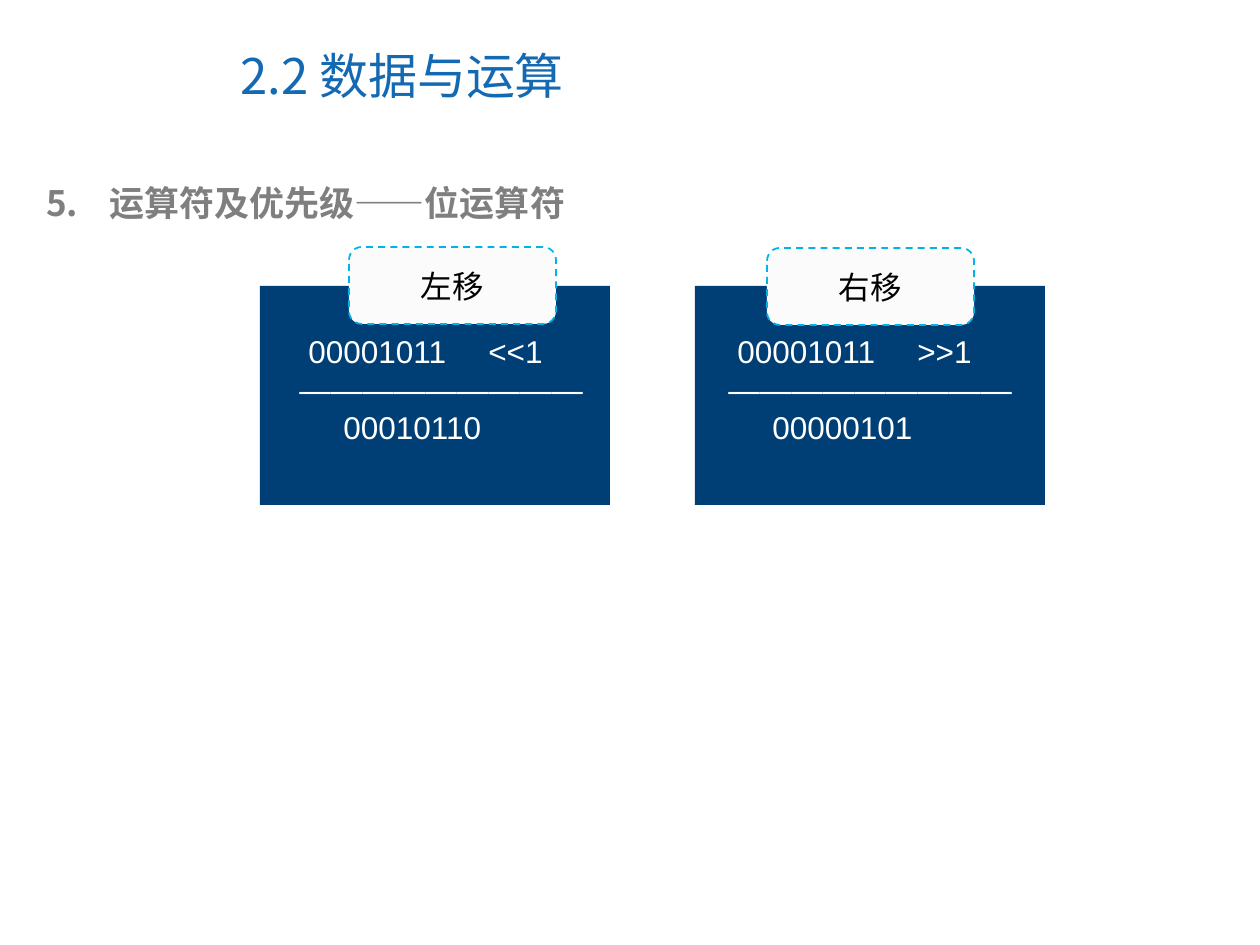
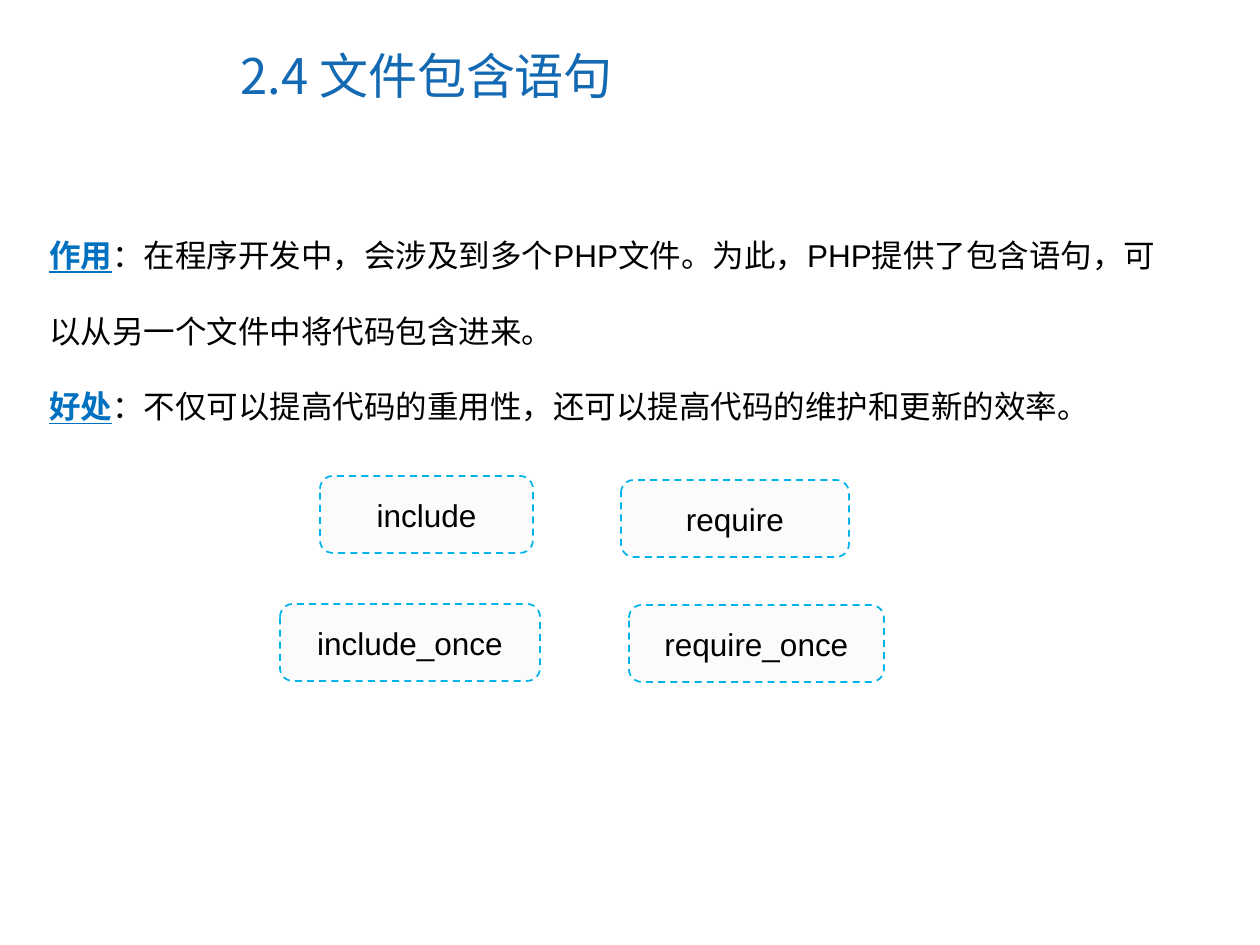
from dataclasses import dataclass

from lxml.etree import SubElement
from pptx import Presentation
from pptx.dml.color import RGBColor
from pptx.enum.dml import MSO_LINE
from pptx.enum.shapes import MSO_SHAPE
from pptx.enum.text import MSO_ANCHOR, PP_ALIGN
from pptx.oxml.ns import qn
from pptx.util import Emu, Pt

# Shared look
PX_PER_INCH = 126
SANS, CJK = "Arial", "Noto Sans CJK SC"
TITLE_BLUE, LABEL_BLUE, NAVY, CYAN = "1369B2", "0070C0", "003F75", "00B4E9"
GRAY, PALE, WHITE, BLACK = "7F7F7F", "FBFBFB", "FFFFFF", "000000"
TAG_HEIGHT = 77


@dataclass
class Area:
    left: int
    top: int
    width: int
    height: int


@dataclass
class Tag:
    text: str
    left: int
    top: int
    width: int


@dataclass
class Shift:
    tag: Tag
    panel_left: int
    sum_left: int
    operator: str
    result: str


@dataclass
class Point:
    label: str
    text: str


SHIFTS = [
    Shift(Tag("右移", 767, 248, 207), 695, 716, ">>1", "00000101"),
    Shift(Tag("左移", 349, 247, 207), 260, 287, "<<1", "00010110"),
]
POINTS = [
    Point("作用", "：在程序开发中，会涉及到多个PHP文件。为此，PHP提供了包含语句，可以从另一个文件中将代码包含进来。"),
    Point("好处", "：不仅可以提高代码的重用性，还可以提高代码的维护和更新的效率。"),
]
STATEMENTS = [
    Tag("include", 320, 476, 213),
    Tag("require", 621, 480, 228),
    Tag("include_once", 280, 604, 260),
    Tag("require_once", 629, 605, 255),
]


def px(length: int) -> Emu:
    return Emu(round(length * 914400 / PX_PER_INCH))


def paint(target, color: str) -> None:
    """Colour a fill, solid where needed."""
    target.solid()
    target.fore_color.rgb = RGBColor.from_string(color)


def set_font(para, size: int, name: str, color: str, bold: bool = False) -> None:
    font = para.font
    font.size, font.name, font.bold = Pt(size), name, bold
    paint(font.fill, color)
    defaults = para._p.pPr.find(qn("a:defRPr"))
    SubElement(defaults, qn("a:ea"), typeface=CJK)


def add_text_box(page, area: Area):
    box = page.shapes.add_textbox(px(area.left), px(area.top), px(area.width), px(area.height))
    box.text_frame.word_wrap = True
    return box.text_frame


def add_block(page, kind: MSO_SHAPE, area: Area, color: str):
    block = page.shapes.add_shape(kind, px(area.left), px(area.top), px(area.width), px(area.height))
    block.shadow.inherit = False
    paint(block.fill, color)
    block.line.fill.background()
    return block


def add_paragraph(frame, index: int):
    return frame.add_paragraph() if index else frame.paragraphs[0]


def add_title(page, text: str) -> None:
    frame = add_text_box(page, Area(228, 21, 650, 107))
    frame.vertical_anchor = MSO_ANCHOR.MIDDLE
    para = frame.paragraphs[0]
    para.text = text
    set_font(para, 28, CJK, TITLE_BLUE)


def add_heading(page, text: str, number: int) -> None:
    para = add_text_box(page, Area(34, 175, 1162, 55)).paragraphs[0]
    para.text = text
    props = para._p.get_or_add_pPr()
    props.set("marL", str(px(63)))
    props.set("indent", str(px(-63)))
    SubElement(SubElement(props, qn("a:buClr")), qn("a:srgbClr"), val=GRAY)
    SubElement(props, qn("a:buFont"), typeface=CJK)
    SubElement(props, qn("a:buAutoNum"), type="arabicPeriod", startAt=str(number))
    set_font(para, 20, CJK, GRAY, bold=True)


def add_tag(page, tag: Tag) -> None:
    area = Area(tag.left, tag.top, tag.width, TAG_HEIGHT)
    block = add_block(page, MSO_SHAPE.ROUNDED_RECTANGLE, area, PALE)
    paint(block.line.fill, CYAN)
    block.line.width = Pt(1)
    block.line.dash_style = MSO_LINE.DASH
    frame = block.text_frame
    frame.vertical_anchor = MSO_ANCHOR.MIDDLE
    para = frame.paragraphs[0]
    para.text = tag.text
    para.alignment = PP_ALIGN.CENTER
    set_font(para, 18, SANS, BLACK)


def add_shift(page, shift: Shift) -> None:
    add_block(page, MSO_SHAPE.RECTANGLE, Area(shift.panel_left, 286, 350, 219), NAVY)
    frame = add_text_box(page, Area(shift.sum_left, 326, 315, 159))
    rows = [(f"00001011\t{shift.operator}", 9), ("—" * 9, 0), (shift.result, 44)]
    for index, (text, indent) in enumerate(rows):
        para = add_paragraph(frame, index)
        para.text = text
        props = para._p.get_or_add_pPr()
        props.set("marL", "0")
        props.set("indent", str(px(indent)))
        if "\t" in text:
            tabs = SubElement(props, qn("a:tabLst"))
            SubElement(tabs, qn("a:tab"), pos=str(px(225)), algn="l")
        set_font(para, 18, SANS, WHITE)
    add_tag(page, shift.tag)


def add_points(page, points: list[Point]) -> None:
    frame = add_text_box(page, Area(37, 192, 1158, 239))
    for index, point in enumerate(points):
        para = add_paragraph(frame, index)
        para.line_spacing = 2.0
        set_font(para, 18, SANS, BLACK)
        label = para.add_run()
        label.text = point.label
        label.font.bold = label.font.underline = True
        paint(label.font.fill, LABEL_BLUE)
        para.add_run().text = point.text


def main() -> None:
    deck = Presentation()
    deck.slide_width, deck.slide_height = px(1260), px(945)
    blank = deck.slide_layouts[6]

    # Bitwise shift operators
    page = deck.slides.add_slide(blank)
    add_title(page, "2.2 数据与运算")
    add_heading(page, "运算符及优先级——位运算符", 5)
    for shift in SHIFTS:
        add_shift(page, shift)

    # File inclusion statements
    page = deck.slides.add_slide(blank)
    add_title(page, "2.4 文件包含语句")
    add_points(page, POINTS)
    for statement in STATEMENTS:
        add_tag(page, statement)

    deck.save("out.pptx")


if __name__ == "__main__":
    main()
